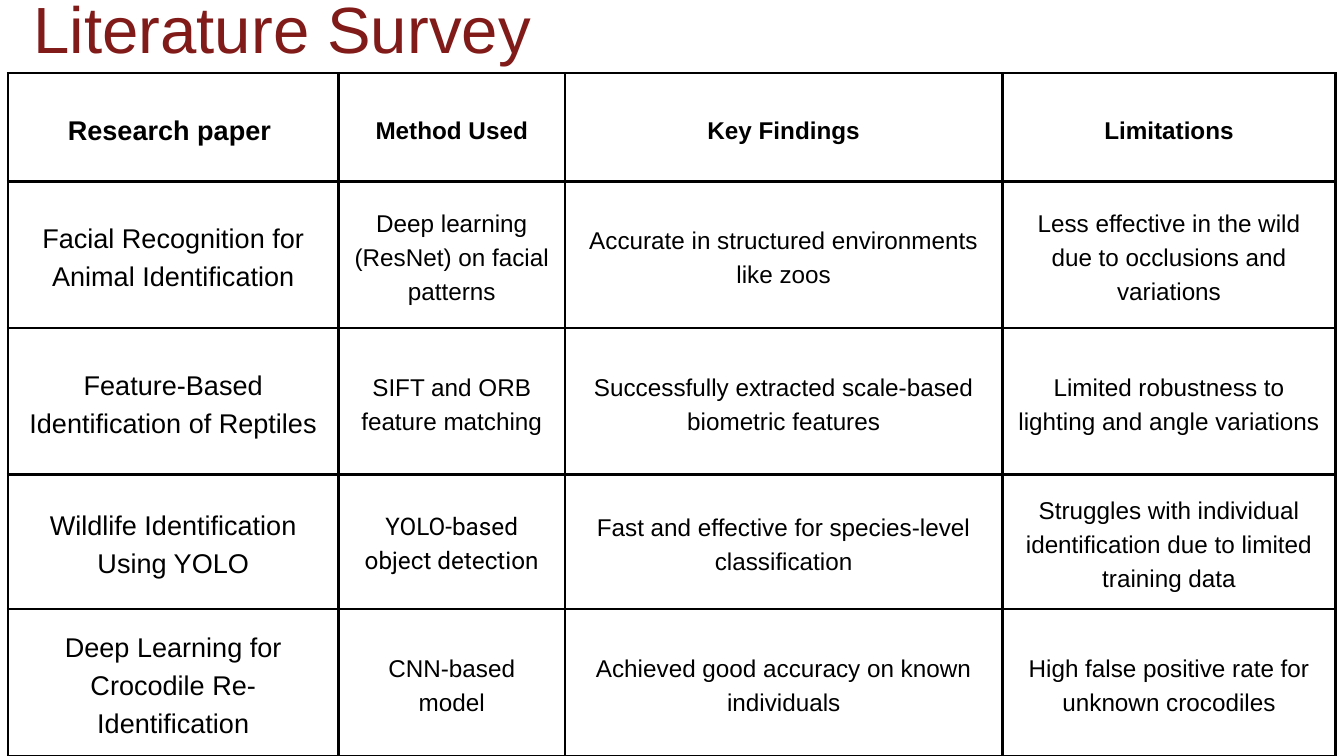
from lxml import etree
from pptx import Presentation
from pptx import util as u
from pptx.dml.color import RGBColor
from pptx.enum import text
from pptx.oxml import ns

BLACK = RGBColor(0x00, 0x00, 0x00)
MAROON = RGBColor(0x80, 0x1B, 0x19)

COL_WIDTHS = [354.2, 242.6, 468.7, 357.1]
ROW_HEIGHTS = [115.9, 157, 157, 144, 157.7]
ROWS = [
    ["Research paper ", "Method Used", "Key Findings", "Limitations"],
    ["Facial Recognition for Animal Identification",
     "Deep learning (ResNet) on facial patterns",
     "Accurate in structured environments like zoos",
     "Less effective in the wild due to occlusions and variations"],
    ["Feature-Based Identification of Reptiles",
     "SIFT and ORB feature matching",
     "Successfully extracted scale-based biometric features",
     "Limited robustness to lighting and angle variations"],
    ["Wildlife Identification Using YOLO",
     "YOLO-based object detection",
     "Fast and effective for species-level classification",
     "Struggles with individual identification due to limited training data"],
    ["Deep Learning for Crocodile Re-Identification",
     "CNN-based model",
     "Achieved good accuracy on known individuals",
     "High false positive rate for unknown crocodiles"],
]
ROBOTO_CELL = (3, 1)


class SurveySlide:
    font = "Arial"
    title_size, paper_size, body_size = 70, 29, 26
    inset, border = 15, 3

    def __init__(self, prs):
        self.s = prs.slides.add_slide(prs.slide_layouts[6])

    def paragraph(self, p, words, size, color, leading, bold=False, font=None):
        p.text = words
        p.line_spacing = u.Pt(size * leading)
        p.font.name = font or self.font
        p.font.size = u.Pt(size)
        p.font.bold = bold
        p.font.color.rgb = color

    def title(self, words, left, top, width, height):
        sp = self.s.shapes.add_textbox(u.Pt(left), u.Pt(top), u.Pt(width), u.Pt(height))
        tf = sp.text_frame
        tf.word_wrap = True
        tf.auto_size = text.MSO_AUTO_SIZE.SHAPE_TO_FIT_TEXT
        tf.margin_left = tf.margin_right = tf.margin_top = tf.margin_bottom = 0
        self.paragraph(tf.paragraphs[0], words, self.title_size, MAROON, 1.08)

    def borders(self, cell):
        tc_pr = cell._tc.get_or_add_tcPr()
        for side in ("lnL", "lnR", "lnT", "lnB"):
            ln = etree.SubElement(tc_pr, ns.qn(f"a:{side}"), w=str(u.Pt(self.border)))
            fill = etree.SubElement(ln, ns.qn("a:solidFill"))
            etree.SubElement(fill, ns.qn("a:srgbClr"), val=str(BLACK))

    def cell(self, cell, words, size, bold, font):
        self.borders(cell)
        cell.fill.background()
        cell.vertical_anchor = text.MSO_ANCHOR.MIDDLE
        cell.margin_left = cell.margin_right = u.Pt(self.inset)
        cell.margin_top = cell.margin_bottom = u.Pt(self.inset)
        p = cell.text_frame.paragraphs[0]
        p.alignment = text.PP_ALIGN.CENTER
        self.paragraph(p, words, size, BLACK, 1.4, bold, font)

    def table(self, rows, left, top, widths, heights):
        frame = self.s.shapes.add_table(
            len(rows), len(widths), u.Pt(left), u.Pt(top),
            u.Pt(sum(widths)), u.Pt(sum(heights)))
        table = frame.table
        table.first_row = table.horz_banding = False
        for column, width in zip(table.columns, widths):
            column.width = u.Pt(width)
        for row, height in zip(table.rows, heights):
            row.height = u.Pt(height)
        for i, row in enumerate(rows):
            for j, words in enumerate(row):
                size = self.paper_size if j == 0 else self.body_size
                font = "Roboto" if (i, j) == ROBOTO_CELL else self.font
                self.cell(table.cell(i, j), words, size, i == 0, font)


def main():
    prs = Presentation()
    prs.slide_width, prs.slide_height = u.Pt(1440), u.Pt(810)
    slide = SurveySlide(prs)

    # Survey table
    slide.table(ROWS, 8.6, 78.5, COL_WIDTHS, ROW_HEIGHTS)

    # Title
    slide.title("Literature Survey", 36, -4.3, 1227.6, 87.8)

    prs.save("out.pptx")


if __name__ == "__main__":
    main()
